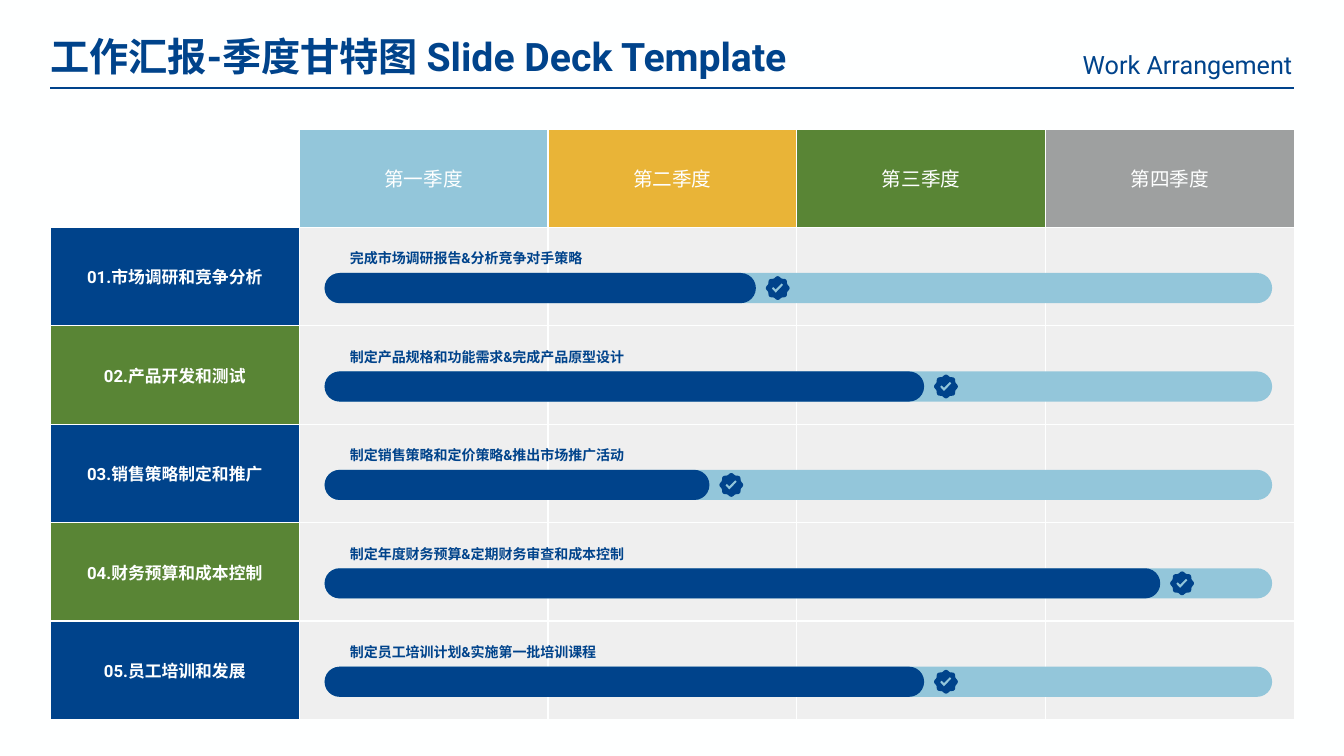
from dataclasses import dataclass
from math import cos, pi, sin

from lxml import etree
from pptx import Presentation
from pptx.dml.color import RGBColor
from pptx.enum.shapes import MSO_CONNECTOR, MSO_SHAPE
from pptx.enum.text import MSO_ANCHOR, MSO_AUTO_SIZE, PP_ALIGN
from pptx.oxml.ns import qn
from pptx.util import Cm, Pt

LEFT, RIGHT, CENTER = PP_ALIGN.LEFT, PP_ALIGN.RIGHT, PP_ALIGN.CENTER
MIDDLE = MSO_ANCHOR.MIDDLE
GROW = MSO_AUTO_SIZE.SHAPE_TO_FIT_TEXT
STRAIGHT = MSO_CONNECTOR.STRAIGHT
ROUNDED = MSO_SHAPE.ROUNDED_RECTANGLE

NAVY, SKY, GOLD, GREEN = "00438B", "93C6DA", "E9B437", "598535"
GRAY, PALE, WHITE = "9EA0A0", "EFEFEF", "FEFFFF"
FONT = "Roboto"

TABLE_LEFT, TABLE_TOP = 1.27, 3.25
COL_W, ROW_H = 6.27, 2.48
BAR_LEFT, BAR_TOP, BAR_W, BAR_H = 8.18, 6.88, 23.88, 0.76
LABEL_LEFT, LABEL_RISE, LABEL_H, LABEL_INSET = 8.74, 0.66, 0.56, 0.08
BADGE_GAP, BADGE_R, BADGE_WAVE = 0.55, 0.28, 0.02
BADGE_POINTS, BADGE_LOBES = 64, 8
TICK = [(-0.05, 0.12), (-0.15, 0.01), (-0.11, -0.03), (-0.05, 0.03),
        (0.1, -0.12), (0.14, -0.08)]
UNITS = 1000


@dataclass
class Quarter:
    name: str
    color: str


@dataclass
class Task:
    name: str
    color: str
    label: str
    label_w: float
    done_w: float


QUARTERS = [
    Quarter("第一季度", SKY),
    Quarter("第二季度", GOLD),
    Quarter("第三季度", GREEN),
    Quarter("第四季度", GRAY),
]
TASKS = [
    Task("01.市场调研和竞争分析", NAVY, "完成市场调研报告&分析竞争对手策略", 9.83, 10.87),
    Task("02.产品开发和测试", GREEN, "制定产品规格和功能需求&完成产品原型设计", 13.03, 15.11),
    Task("03.销售策略制定和推广", NAVY, "制定销售策略和定价策略&推出市场推广活动", 12.85, 9.7),
    Task("04.财务预算和成本控制", GREEN, "制定年度财务预算&定期财务审查和成本控制", 11.84, 21.06),
    Task("05.员工培训和发展", NAVY, "制定员工培训计划&实施第一批培训课程", 9.96, 15.11),
]


def rgb(color: str) -> RGBColor:
    return RGBColor.from_string(color)


def write(tf, text: str, size: float, color: str, bold: bool = False, align=LEFT) -> None:
    p = tf.paragraphs[0]
    p.alignment = align
    r = p.add_run()
    r.text = text
    for name, value in {"name": FONT, "size": Pt(size), "bold": bold}.items():
        setattr(r.font, name, value)
    r.font.color.rgb = rgb(color)


def add_text(s, x: float, y: float, w: float, h: float, text: str, size: float,
             bold: bool = False, align=LEFT, frame: dict | None = None) -> None:
    tf = s.shapes.add_textbox(Cm(x), Cm(y), Cm(w), Cm(h)).text_frame
    for name, value in {"word_wrap": True, "auto_size": GROW, **(frame or {})}.items():
        setattr(tf, name, value)
    write(tf, text, size, NAVY, bold, align)


def paint(sp, color: str) -> None:
    sp.shadow.inherit = False
    sp.fill.solid()
    sp.fill.fore_color.rgb = rgb(color)
    sp.line.fill.background()


def add_rule(s, x1: float, x2: float, y: float) -> None:
    cn = s.shapes.add_connector(STRAIGHT, Cm(x1), Cm(y), Cm(x2), Cm(y))
    cn.line.color.rgb = rgb(NAVY)
    cn.line.width = Pt(1.5)
    etree.SubElement(cn._element.spPr, qn("a:effectLst"))


def style_cell(cell, fill: str) -> None:
    tc_pr = cell._tc.get_or_add_tcPr()
    for side in "LRTB":
        ln = etree.SubElement(tc_pr, qn(f"a:ln{side}"), w=str(Pt(1)))
        solid = etree.SubElement(ln, qn("a:solidFill"))
        etree.SubElement(solid, qn("a:srgbClr"), val=WHITE)
    cell.fill.solid()
    cell.fill.fore_color.rgb = rgb(fill)
    cell.vertical_anchor = MIDDLE
    for side in ("left", "right", "top", "bottom"):
        setattr(cell, f"margin_{side}", 0)


def add_grid(s) -> None:
    rows, cols = len(TASKS) + 1, len(QUARTERS) + 1
    table = s.shapes.add_table(rows, cols, Cm(TABLE_LEFT), Cm(TABLE_TOP),
                               Cm(COL_W * cols), Cm(ROW_H * rows)).table
    table.first_row = False
    table.horz_banding = False
    for col in table.columns:
        col.width = Cm(COL_W)
    for row in table.rows:
        row.height = Cm(ROW_H)
    fills = {(0, 0): WHITE}
    for j, quarter in enumerate(QUARTERS, 1):
        fills[0, j] = quarter.color
        write(table.cell(0, j).text_frame, quarter.name, 14, WHITE, align=CENTER)
    for i, task in enumerate(TASKS, 1):
        fills[i, 0] = task.color
        write(table.cell(i, 0).text_frame, task.name, 12, WHITE, True, CENTER)
    for i in range(rows):
        for j in range(cols):
            style_cell(table.cell(i, j), fills.get((i, j), PALE))


def add_bar(s, y: float, w: float, color: str) -> None:
    sp = s.shapes.add_shape(ROUNDED, Cm(BAR_LEFT), Cm(y), Cm(w), Cm(BAR_H))
    sp.adjustments[0] = 0.5
    paint(sp, color)


def add_badge(s, cx: float, cy: float) -> None:
    rim = []
    for i in range(BADGE_POINTS):
        angle = 2 * pi * i / BADGE_POINTS
        radius = BADGE_R + BADGE_WAVE * cos(BADGE_LOBES * angle)
        rim.append((radius * cos(angle), radius * sin(angle)))
    outlines = [[((cx + x) * UNITS, (cy + y) * UNITS) for x, y in pts] for pts in (rim, TICK)]
    fb = s.shapes.build_freeform(*outlines[0][0], scale=Cm(1) / UNITS)
    fb.add_line_segments(outlines[0][1:], close=True)
    fb.move_to(*outlines[1][0])
    fb.add_line_segments(outlines[1][1:], close=True)
    paint(fb.convert_to_shape(), NAVY)


def add_task(s, task: Task, y: float) -> None:
    insets = {f"margin_{side}": Cm(LABEL_INSET) for side in ("left", "right", "top", "bottom")}
    add_bar(s, y, BAR_W, SKY)
    add_text(s, LABEL_LEFT, y - LABEL_RISE, task.label_w, LABEL_H, task.label, 10, True,
             frame=insets)
    add_bar(s, y, task.done_w, NAVY)
    add_badge(s, BAR_LEFT + task.done_w + BADGE_GAP, y + BAR_H / 2)


def main() -> None:
    prs = Presentation()
    prs.slide_width, prs.slide_height = Cm(33.87), Cm(19.05)
    s = prs.slides.add_slide(prs.slide_layouts[6])
    s.background.fill.solid()
    s.background.fill.fore_color.rgb = rgb(WHITE)
    add_text(s, 1.02, 0.69, 20.5, 1.45, "工作汇报-季度甘特图 Slide Deck Template", 28, True,
             frame={"word_wrap": False})
    add_text(s, 26.39, 1.12, 6.43, 1.02, "Work Arrangement", 18, align=RIGHT,
             frame={"word_wrap": False})
    add_rule(s, TABLE_LEFT, 32.61, 2.21)
    add_grid(s)
    for i, task in enumerate(TASKS):
        add_task(s, task, BAR_TOP + i * ROW_H)
    prs.save("out.pptx")


if __name__ == "__main__":
    main()
